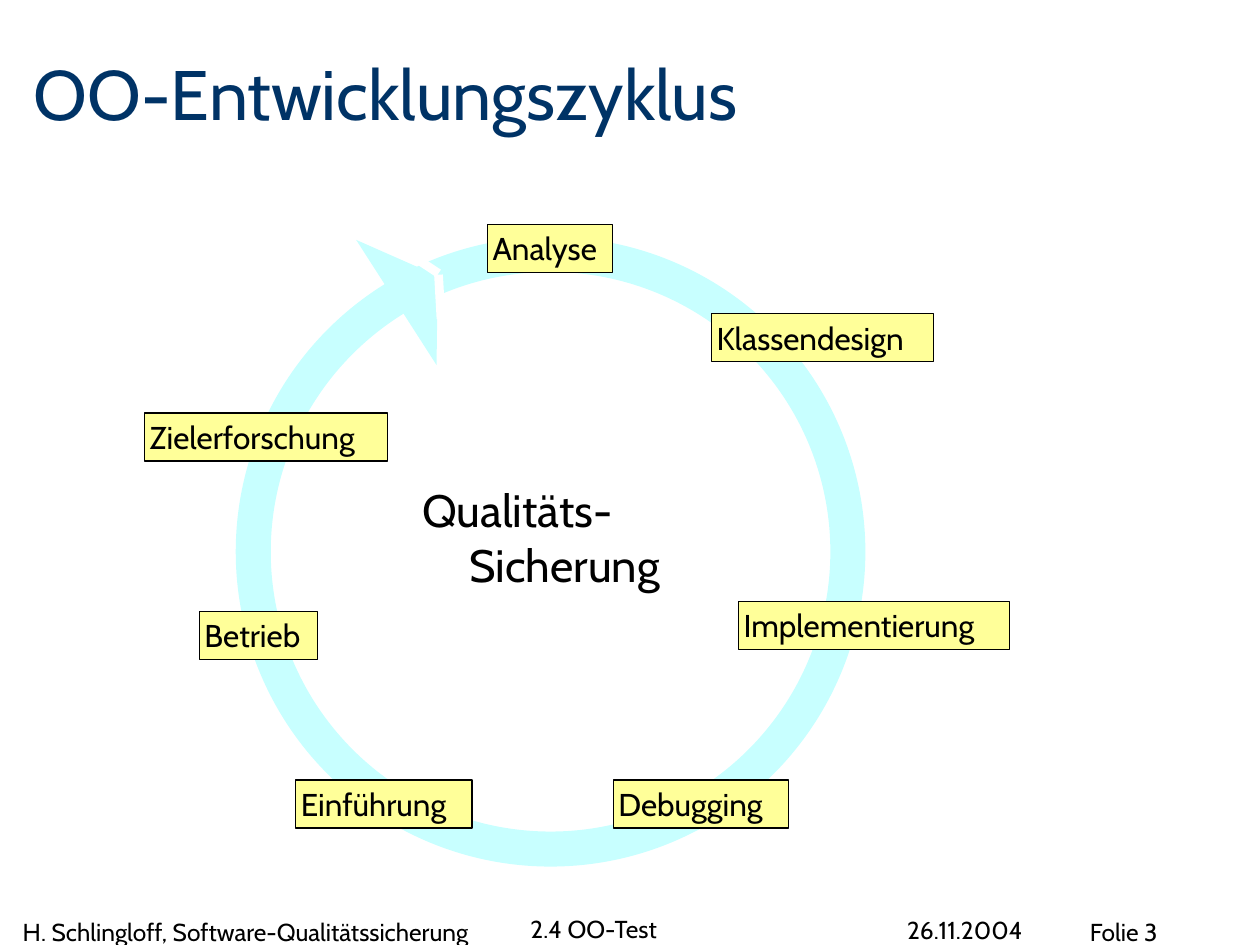
import pptx
import pptx.dml.color
import pptx.enum.shapes
import pptx.enum.text
import pptx.oxml
import pptx.util

Pt = pptx.util.Pt
Shape = pptx.enum.shapes.MSO_SHAPE
Anchor = pptx.enum.text.MSO_ANCHOR

INK = "000000"
NAVY = "003366"
CYAN = "C8FFFF"
YELLOW = "FFFF99"
WHITE = "FFFFFF"


def colour(value):
    return pptx.dml.color.RGBColor.from_string(value)


def assign(target, values):
    for name, value in values.items():
        setattr(target, name, value)


class CycleSlide:
    font_name = "Cabin"

    def __init__(self, deck):
        self.page = deck.slides.add_slide(deck.slide_layouts[5])

    def fill_text(self, shape, text, size, ink=INK, inset=0, anchor=Anchor.TOP, hang=0):
        frame = shape.text_frame
        margins = ("margin_left", "margin_top", "margin_right", "margin_bottom")
        assign(frame, dict.fromkeys(margins, Pt(inset)))
        assign(frame, {
            "word_wrap": True,
            "auto_size": pptx.enum.text.MSO_AUTO_SIZE.NONE,
            "vertical_anchor": anchor,
        })
        para = frame.paragraphs[0]
        para.text = text
        assign(para, {"alignment": pptx.enum.text.PP_ALIGN.LEFT, "space_before": Pt(0)})
        if hang:
            properties = para._p.get_or_add_pPr()
            properties.set("marL", str(Pt(hang)))
            properties.set("indent", str(-Pt(hang)))
        assign(para.font, {"name": self.font_name, "size": Pt(size), "bold": False})
        para.font.color.rgb = colour(ink)

    def title(self, text, left, top, width, height):
        box = self.page.shapes.title
        assign(box, {"left": Pt(left), "top": Pt(top),
                     "width": Pt(width), "height": Pt(height)})
        self.fill_text(box, text, 40, NAVY, anchor=Anchor.BOTTOM)

    def text(self, text, left, top, width, height, size, **layout):
        box = self.page.shapes.add_textbox(Pt(left), Pt(top), Pt(width), Pt(height))
        self.fill_text(box, text, size, **layout)

    def shape(self, kind, left, top, width, height, fill=None, line=None, weight=0.75):
        shape = self.page.shapes.add_shape(kind, Pt(left), Pt(top), Pt(width), Pt(height))
        shape.shadow.inherit = False
        for part, value in ((shape.fill, fill), (shape.line.fill, line)):
            if value:
                part.solid()
                part.fore_color.rgb = colour(value)
            else:
                part.background()
        if line:
            shape.line.width = Pt(weight)
        return shape

    def label(self, text, left, top, width):
        box = self.shape(Shape.RECTANGLE, left, top, width, 27.4, YELLOW, INK)
        self.fill_text(box, text, 18, inset=2.9)

    def line(self, start, end, ink, weight):
        line = self.page.shapes.add_connector(
            pptx.enum.shapes.MSO_CONNECTOR.STRAIGHT, *map(Pt, start + end))
        line.line.color.rgb = colour(ink)
        line.line.width = Pt(weight)
        properties = line._element.spPr
        properties.append(pptx.oxml.parse_xml(
            '<a:effectLst xmlns:a="http://schemas.openxmlformats.org/drawingml/2006/main"/>'))


def main():
    deck = pptx.Presentation()
    assign(deck, {"slide_width": Pt(720), "slide_height": Pt(540)})
    slide = CycleSlide(deck)

    slide.title("OO-Entwicklungszyklus", 19.4, 25.9, 684.7, 51.1)
    slide.text("Qualitäts-\vSicherung", 241.2, 275.8, 153.4, 67.7, 25.9, hang=27)

    slide.shape(Shape.OVAL, 144.7, 145.4, 339.8, 339.8, line=CYAN, weight=20)
    for phase, left, top, width in (
        ("Analyse", 278.6, 128.2, 71.3),
        ("Klassendesign", 406.6, 179.3, 126.7),
        ("Implementierung", 422, 343.6, 154.8),
        ("Einführung", 169, 445.7, 100.8),
        ("Betrieb", 113.9, 349.3, 67.7),
        ("Debugging", 350.5, 445.7, 100.1),
        ("Zielerforschung", 82.6, 236, 139),
    ):
        slide.label(phase, left, top, width)

    head = slide.shape(Shape.ISOSCELES_TRIANGLE, 195.8, 151.2, 85, 28.1, CYAN)
    head.rotation = 57.3
    slide.line((235.4, 146.2), (250.6, 156.2), WHITE, 5)
    slide.line((250.6, 157), (252, 182.2), WHITE, 5)

    for text, left, top, width, height, anchor in (
        ("H. Schlingloff, Software-Qualitätssicherung", 13, 524.2, 283, 16.6, Anchor.TOP),
        ("2.4 OO-Test", 303.1, 519.1, 209.5, 20.2, Anchor.BOTTOM),
        ("26.11.2004", 518.4, 524.9, 113, 14.8, Anchor.BOTTOM),
        ("Folie 3", 622.8, 524.2, 90, 16.6, Anchor.TOP),
    ):
        slide.text(text, left, top, width, height, 14, anchor=anchor)

    deck.save("out.pptx")


if __name__ == "__main__":
    main()
